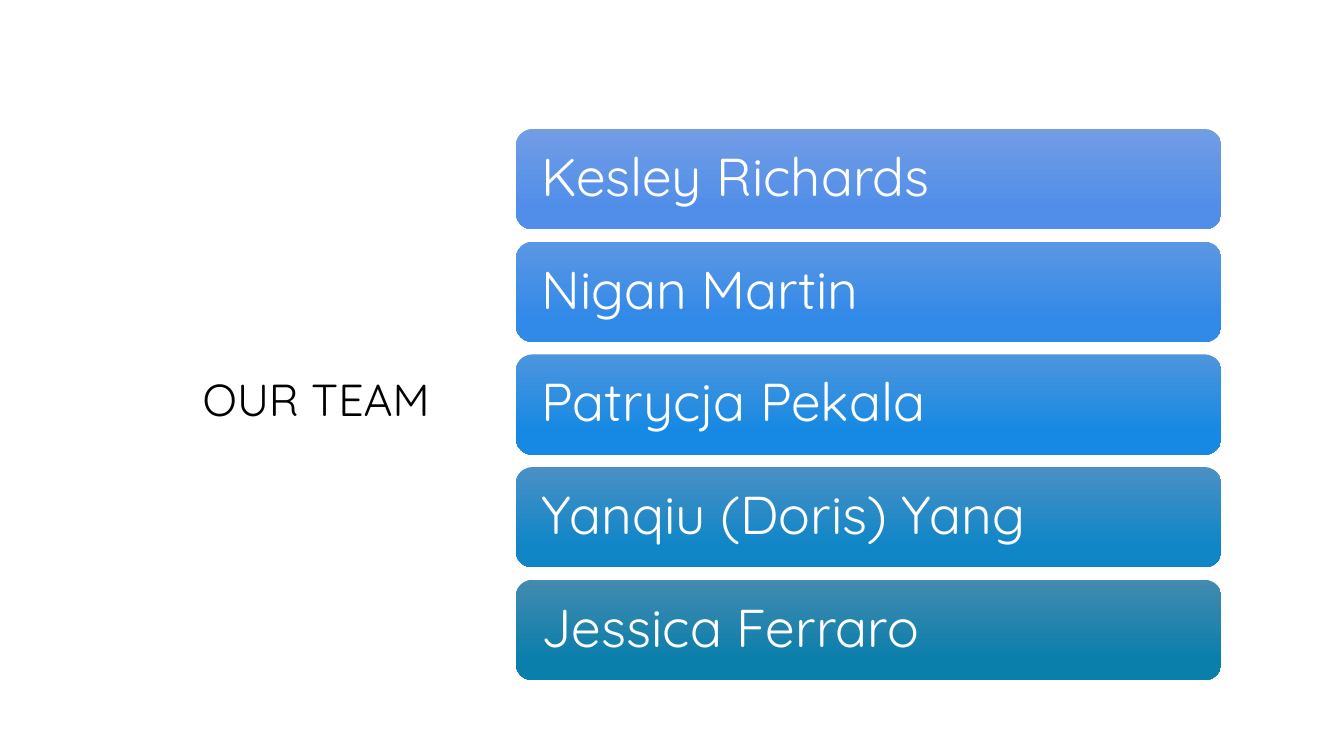
"""Build the team slide: a title beside five gradient name cards."""
from pptx import Presentation
from pptx.dml.color import RGBColor
from pptx.enum.shapes import MSO_SHAPE
from pptx.enum.text import MSO_ANCHOR, PP_ALIGN
from pptx.util import Cm, Pt

ROUNDED = MSO_SHAPE.ROUNDED_RECTANGLE
MIDDLE = MSO_ANCHOR.MIDDLE
LEFT, RIGHT = PP_ALIGN.LEFT, PP_ALIGN.RIGHT
FONT = "Quicksand"
BLACK = RGBColor(0x00, 0x00, 0x00)
WHITE = RGBColor(0xFF, 0xFF, 0xFF)
TEAM = [
    ("Kesley Richards", RGBColor(0x72, 0x9D, 0xE5), RGBColor(0x51, 0x8E, 0xE9)),
    ("Nigan Martin", RGBColor(0x5B, 0x97, 0xE3), RGBColor(0x31, 0x89, 0xE8)),
    ("Patrycja Pekala", RGBColor(0x4D, 0x95, 0xDD), RGBColor(0x15, 0x89, 0xE3)),
    ("Yanqiu (Doris) Yang", RGBColor(0x4A, 0x90, 0xC5), RGBColor(0x10, 0x86, 0xC7)),
    ("Jessica Ferraro", RGBColor(0x43, 0x8A, 0xB0), RGBColor(0x0B, 0x7F, 0xAB)),
]
CARD_LEFT, CARD_TOP = 13, 3.25
CARD_WIDTH, CARD_HEIGHT = 17.78, 2.53
CARD_PITCH = 2.84


def write(sp, text, size, color, align):
    tf = sp.text_frame
    tf.word_wrap = True
    tf.vertical_anchor = MIDDLE
    p = tf.paragraphs[0]
    p.alignment = align
    p.line_spacing = 0.9
    r = p.add_run()
    r.text = text
    r.font.name = FONT
    r.font.size = Pt(size)
    r.font.color.rgb = color


prs = Presentation()
prs.slide_width, prs.slide_height = Cm(33.87), Cm(19.05)
s = prs.slides.add_slide(prs.slide_layouts[5])

title = s.shapes.title
title.left, title.top = Cm(1.9), Cm(2.97)
title.width, title.height = Cm(9.19), Cm(14.3)
write(title, "OUR TEAM", 32, BLACK, RIGHT)

for i, (name, top_color, bottom_color) in enumerate(TEAM):
    card = s.shapes.add_shape(ROUNDED, Cm(CARD_LEFT), Cm(CARD_TOP + i * CARD_PITCH),
                              Cm(CARD_WIDTH), Cm(CARD_HEIGHT))
    card.shadow.inherit = False
    card.line.fill.background()
    card.fill.gradient()
    card.fill.gradient_angle = 270
    start, end = card.fill.gradient_stops
    start.color.rgb, start.position = top_color, 0
    end.color.rgb, end.position = bottom_color, 0.78
    card.text_frame.margin_left = card.text_frame.margin_right = Cm(0.52)
    write(card, name, 38, WHITE, LEFT)

prs.save("out.pptx")
